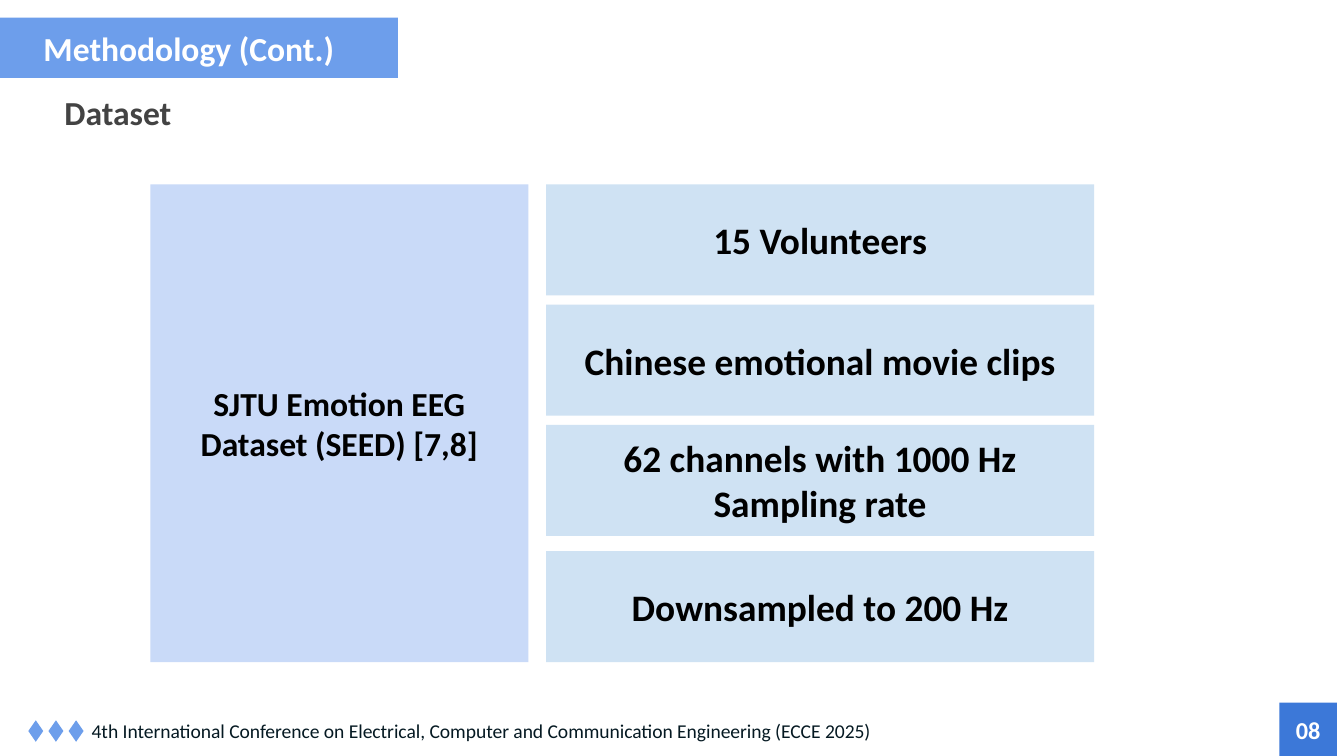
from dataclasses import dataclass

from pptx import Presentation
from pptx.dml.color import RGBColor
from pptx.enum import shapes, text
from pptx.util import Pt


@dataclass(frozen=True)
class Theme:
    """Colours, type sizes and spacing of the deck."""
    font: str = "Calibri"
    accent: str = "6D9EEB"
    badge: str = "3C78D8"
    source: str = "C9DAF8"
    fact: str = "CFE2F3"
    white: str = "FFFFFF"
    black: str = "000000"
    heading: str = "434343"
    footer: str = "051922"
    heading_size: float = 18
    fact_size: float = 20
    badge_size: float = 13
    footer_size: float = 10.5
    inset: float = 7.2


THEME = Theme()
FACTS = [
    "15 Volunteers",
    "Chinese emotional movie clips",
    "62 channels with 1000 Hz Sampling rate",
    "Downsampled to 200 Hz",
]


def place(shape, box):
    """Move and size a shape to a box in points."""
    shape.left, shape.top, shape.width, shape.height = map(Pt, box)


def paint(shape, colour):
    """Give a shape a plain fill without an outline."""
    shape.fill.solid()
    shape.fill.fore_color.rgb = RGBColor.from_string(colour)
    shape.line.fill.background()


def write(shape, words, size, colour, bold=True, centred=True):
    """Write one formatted run into a shape."""
    frame = shape.text_frame
    frame.word_wrap = True
    frame.auto_size = text.MSO_AUTO_SIZE.NONE
    frame.margin_left = frame.margin_right = Pt(THEME.inset)
    frame.margin_top = frame.margin_bottom = Pt(THEME.inset)
    frame.vertical_anchor = text.MSO_ANCHOR.MIDDLE if centred else text.MSO_ANCHOR.TOP
    paragraph = frame.paragraphs[0]
    paragraph.alignment = text.PP_ALIGN.CENTER if centred else text.PP_ALIGN.LEFT
    run = paragraph.add_run()
    run.text = words
    run.font.name = THEME.font
    run.font.size = Pt(size)
    run.font.bold = bold
    run.font.color.rgb = RGBColor.from_string(colour)


def add_block(parent, box, colour, kind=shapes.MSO_SHAPE.RECTANGLE):
    """Add a flat filled shape."""
    shape = parent.shapes.add_shape(kind, *map(Pt, box))
    shape.shadow.inherit = False
    paint(shape, colour)
    return shape


def add_header(slide, box, title, subtitle):
    """Set the title band and the subtitle below it."""
    left, top, width, height = box
    band = slide.shapes.title
    place(band, box)
    paint(band, THEME.accent)
    write(band, title, THEME.heading_size, THEME.white)
    label_left = left + 38.2
    label_box = (label_left, top + height, left + width - label_left, height)
    label = slide.shapes.add_textbox(*map(Pt, label_box))
    write(label, subtitle, THEME.heading_size, THEME.heading, centred=False)


def add_dataset(slide, box, name, facts):
    """Show the dataset name beside a column of facts, the last on the bottom edge."""
    left, top, width, height = box
    name_width, gap, row_height, pitch = 202.5, 9.5, 59.5, 64.4
    panel = add_block(slide, (left, top, name_width, height), THEME.source)
    write(panel, name, THEME.heading_size, THEME.black)
    column = left + name_width + gap
    tops = [top + index * pitch for index in range(len(facts) - 1)]
    tops.append(top + height - row_height)
    for fact, row_top in zip(facts, tops):
        row_box = (column, row_top, left + width - column, row_height)
        row = add_block(slide, row_box, THEME.fact)
        write(row, fact, THEME.fact_size, THEME.black)


def add_footer(slide, box, words):
    """Group three diamonds with the conference name."""
    left, top, width, height = box
    group = slide.shapes.add_group_shape()
    for index in range(3):
        diamond_box = (left + index * 10.8, top + 7.9, 8, 11.5)
        add_block(group, diamond_box, THEME.accent, shapes.MSO_SHAPE.DIAMOND)
    label_box = (left + 26.8, top, width - 26.8, height)
    label = group.shapes.add_textbox(*map(Pt, label_box))
    write(label, words, THEME.footer_size, THEME.footer, bold=False, centred=False)


def add_page_number(slide, box, number):
    """Add the page number badge."""
    badge = add_block(slide, box, THEME.badge)
    write(badge, number, THEME.badge_size, THEME.white)


def main():
    """Build and save the slide."""
    presentation = Presentation()
    presentation.slide_width, presentation.slide_height = Pt(720), Pt(405)
    slide = presentation.slides.add_slide(presentation.slide_layouts[5])
    add_page_number(slide, (685.4, 376.4, 30.8, 28.6), "08")
    add_header(slide, (-10.8, 9.4, 224, 32.4), "Methodology (Cont.)", "Dataset")
    add_dataset(slide, (80.6, 98.8, 505.6, 256),
                "SJTU Emotion EEG Dataset (SEED) [7,8]", FACTS)
    add_footer(slide, (15.2, 378, 645.8, 27),
               "4th International Conference on Electrical, Computer and "
               "Communication Engineering (ECCE 2025)")
    presentation.save("out.pptx")


if __name__ == "__main__":
    main()
